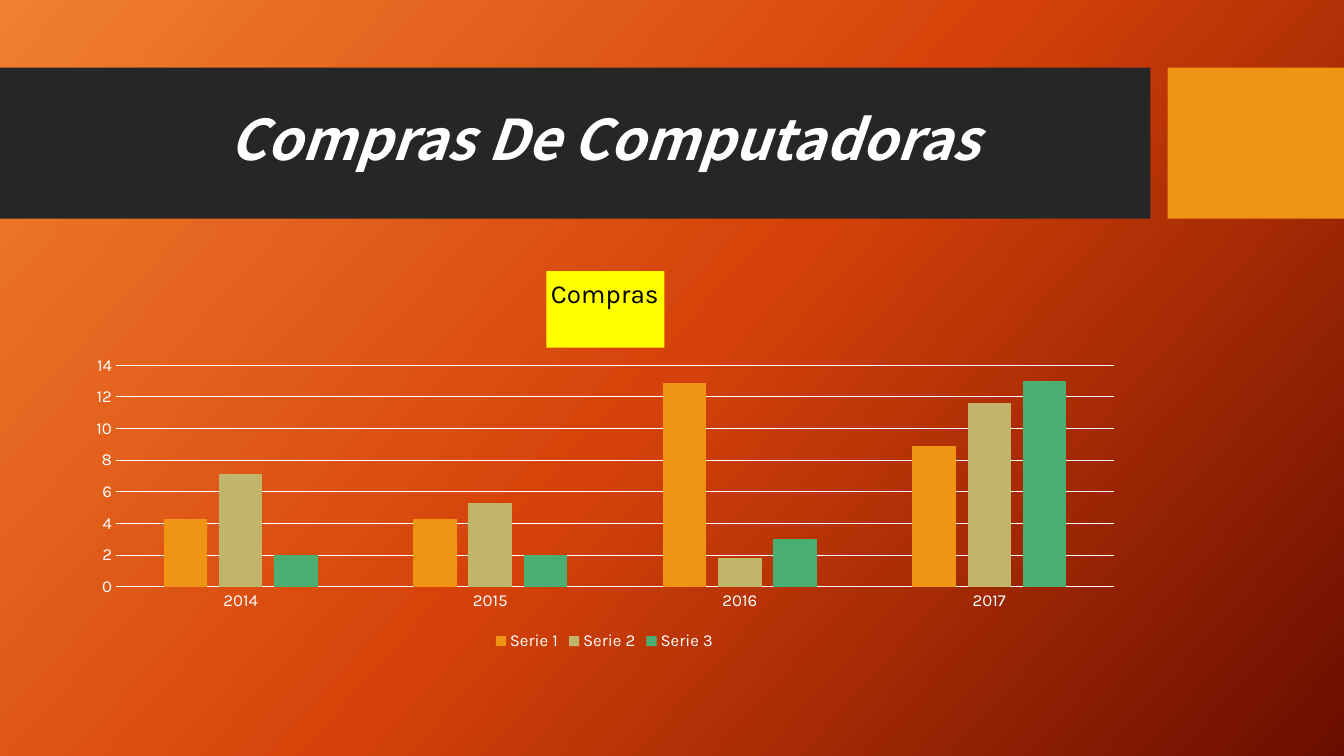
import copy

import pptx
import pptx.chart.data
import pptx.dml.color
import pptx.enum.chart
import pptx.enum.shapes
import pptx.enum.text
import pptx.oxml
import pptx.util
from pptx.util import Inches

WHITE = "FFFFFF"
ORANGE = "F09415"
BODY_FONT = "Karla"
TITLE_FONT = "Noto Sans CJK SC"
YEARS = ["2014", "2015", "2016", "2017"]
SERIES = [
    ("Serie 1", [4.3, 4.3, 12.9, 8.9], ORANGE),
    ("Serie 2", [7.1, 5.3, 1.8, 11.6], "C1B56B"),
    ("Serie 3", [2, 2, 3, 13], "4BAF73"),
]


def color(value):
    return pptx.dml.color.RGBColor.from_string(value)


def style_font(font, size, value, name=BODY_FONT):
    font.size = pptx.util.Pt(size)
    font.name = name
    font.color.rgb = color(value)


def paint_background(page, stops, angle):
    fill = page.background.fill
    fill.gradient()
    fill.gradient_angle = -angle % 360
    stop_list = fill.gradient_stops[0]._gs.getparent()
    stop_list.append(copy.deepcopy(stop_list[-1]))
    for stop, (position, value) in zip(fill.gradient_stops, stops):
        stop.position = position
        stop.color.rgb = color(value)


def add_block(page, left, top, width, height, value):
    block = page.shapes.add_shape(
        pptx.enum.shapes.MSO_SHAPE.RECTANGLE,
        Inches(left), Inches(top), Inches(width), Inches(height))
    block.shadow.inherit = False
    block.fill.solid()
    block.fill.fore_color.rgb = color(value)
    block.line.fill.background()


def add_heading(page, text):
    box = page.shapes.add_textbox(
        Inches(0.74), Inches(0.82), Inches(10.51), Inches(1.18))
    frame = box.text_frame
    frame.word_wrap = True
    frame.vertical_anchor = pptx.enum.text.MSO_ANCHOR.MIDDLE
    para = frame.paragraphs[0]
    para.alignment = pptx.enum.text.PP_ALIGN.CENTER
    para.line_spacing = 0.9
    span = para.add_run()
    span.text = text
    style_font(span.font, 40, WHITE, TITLE_FONT)
    span.font.bold = True
    span.font.italic = True


def set_layout(element, places, inner=False):
    layout = element.get_or_add_layout() if hasattr(element, "get_or_add_layout") else element.find(
        pptx.oxml.ns.qn("c:layout"))
    if layout is None:
        layout = pptx.oxml.parse_xml(
            '<c:layout %s/>' % pptx.oxml.ns.nsdecls("c"))
        element.insert(0, layout)
    for child in list(layout):
        layout.remove(child)
    settings = [("layoutTarget", "inner")] if inner else []
    settings += [("xMode", "edge"), ("yMode", "edge")] + places
    body = "".join('<c:%s val="%s"/>' % setting for setting in settings)
    layout.append(pptx.oxml.parse_xml(
        '<c:manualLayout %s>%s</c:manualLayout>'
        % (pptx.oxml.ns.nsdecls("c"), body)))


def style_axes(chart):
    for axis in (chart.category_axis, chart.value_axis):
        axis.major_tick_mark = pptx.enum.chart.XL_TICK_MARK.NONE
        axis.minor_tick_mark = pptx.enum.chart.XL_TICK_MARK.NONE
        style_font(axis.tick_labels.font, 12, WHITE)
    values = chart.value_axis
    values.minimum_scale, values.maximum_scale, values.major_unit = 0, 14, 2
    values.format.line.fill.background()
    values.has_major_gridlines = True
    for line in (chart.category_axis.format.line,
                 values.major_gridlines.format.line):
        line.width = pptx.util.Pt(0.75)
        line.color.rgb = color(WHITE)


def add_chart_title(chart, text):
    chart.has_title = True
    title = chart.chart_title
    span = title.text_frame.paragraphs[0].add_run()
    span.text = text
    style_font(span.font, 18.6, "000000")
    span.font.bold = False
    title.include_in_layout = False
    set_layout(title._element, [("x", 0.445), ("y", 0.033)])


def add_purchases_chart(page):
    data = pptx.chart.data.CategoryChartData()
    data.categories = YEARS
    for name, values, _ in SERIES:
        data.add_series(name, values)
    chart = page.shapes.add_chart(
        pptx.enum.chart.XL_CHART_TYPE.COLUMN_CLUSTERED,
        Inches(0.74), Inches(2.56), Inches(10.51), Inches(3.94), data).chart
    style_font(chart.font, 10, WHITE)
    add_chart_title(chart, "Compras")
    style_axes(chart)
    chart.has_legend = True
    chart.legend.position = pptx.enum.chart.XL_LEGEND_POSITION.BOTTOM
    chart.legend.include_in_layout = False
    style_font(chart.legend.font, 12, WHITE)
    plot = chart.plots[0]
    plot.gap_width = 219
    plot.overlap = -27
    plot.vary_by_categories = False
    for series, (_, _, value) in zip(plot.series, SERIES):
        series.format.fill.solid()
        series.format.fill.fore_color.rgb = color(value)
        series.invert_if_negative = False
    set_layout(chart._chartSpace.chart.plotArea,
               [("x", 0.039), ("y", 0.27), ("w", 0.942), ("h", 0.558)], True)


def main():
    deck = pptx.Presentation()
    deck.slide_width = Inches(13.33)
    deck.slide_height = Inches(7.5)
    page = deck.slides.add_slide(deck.slide_layouts[6])
    paint_background(page, [(0, "F18031"), (0.5, "D54209"), (1, "6A0D00")], 42)
    add_block(page, 0, 0.67, 11.41, 1.5, "262626")
    add_block(page, 11.58, 0.67, 1.75, 1.5, ORANGE)
    add_heading(page, "Compras De Computadoras")
    add_block(page, 5.42, 2.69, 1.17, 0.76, "FFFF00")
    add_purchases_chart(page)
    deck.save("out.pptx")


if __name__ == "__main__":
    main()
